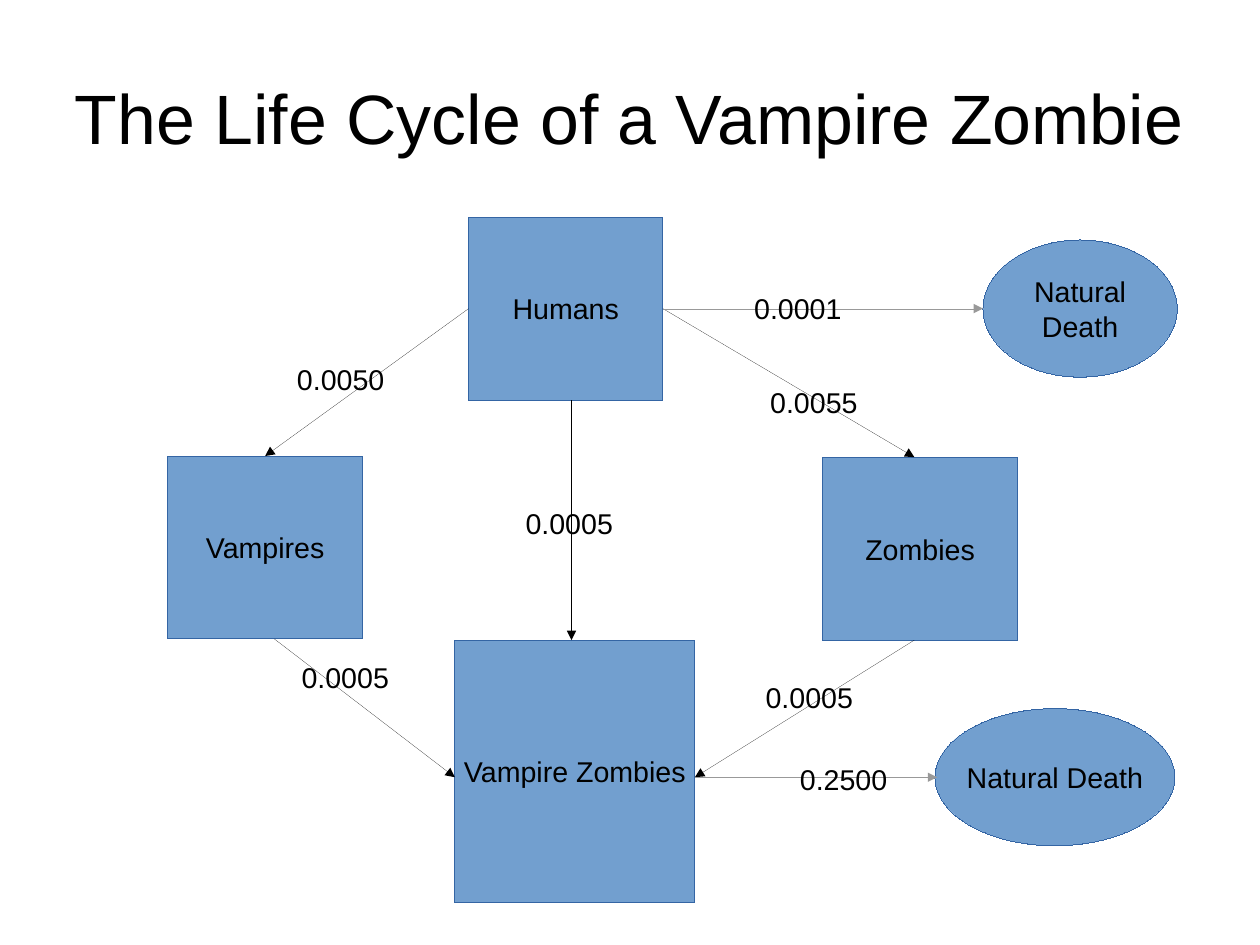
from lxml.etree import SubElement
from pptx import Presentation
from pptx.dml.color import RGBColor
from pptx.enum.shapes import MSO_CONNECTOR, MSO_SHAPE
from pptx.enum.text import MSO_ANCHOR, MSO_AUTO_SIZE, PP_ALIGN
from pptx.oxml.ns import qn
from pptx.util import Cm, Inches, Pt

# Content: lengths in inches
TITLE = ("The Life Cycle of a Vampire Zombie", (0.55, 0.33, 9.92, 1.38))

STATE, END = MSO_SHAPE.FLOWCHART_PROCESS, MSO_SHAPE.OVAL
SMALL, LARGE = (1.7, 1.6), (2.1, 2.3)
NODES = {  # name: (kind, lines, left and top, size)
    "humans": (STATE, ["Humans"], (4.1, 1.9), SMALL),
    "zombies": (STATE, ["Zombies"], (7.2, 4), SMALL),
    "vampires": (STATE, ["Vampires"], (1.47, 3.99), SMALL),
    "vampire zombies": (STATE, ["Vampire Zombies"], (3.98, 5.6), LARGE),
    "human death": (END, ["Natural", "Death"], (8.6, 2.1), (1.7, 1.2)),
    "vampire zombie death": (END, ["Natural Death"], (8.18, 6.2), (2.1, 1.2)),
}

TOP, LEFT, BOTTOM, RIGHT = range(4)
# An end is a point, or a node's name and side where the arrow is joined
ARROWS = [  # (from, to, colour, rate, left and top of the rate)
    ((5, 3.5), (5, 5.6), "arrow", "0.0005", (4.5, 4.38)),
    (("humans", LEFT), ("vampires", TOP), "arrow", "0.0050", (2.5, 3.12)),
    ((2.4, 5.59), (3.98, 6.8), "arrow", "0.0005", (2.54, 5.72)),
    (("humans", RIGHT), (8, 4), "arrow", "0.0055", (6.64, 3.32)),
    ((8, 5.6), (6.08, 6.8), "arrow", "0.0005", (6.6, 5.9)),
    (("humans", RIGHT), (8.6, 2.7), "death arrow", "0.0001", (6.5, 2.5)),
    ((6.08, 6.8), (8.2, 6.8), "death arrow", "0.2500", (6.9, 6.62)),
]
RATE_SIZE = (0.97, 0.38)

THEME = {
    "font": "Arial",
    "title size": Pt(44),
    "text size": Pt(18),
    "text": RGBColor(0x00, 0x00, 0x00),
    "fill": RGBColor(0x72, 0x9F, 0xCF),
    "outline": RGBColor(0x34, 0x65, 0xA4),
    "arrow": RGBColor(0x00, 0x00, 0x00),
    "death arrow": RGBColor(0x99, 0x99, 0x99),
}


def inches(*lengths):
    return [Inches(length) for length in lengths]


def write(frame, lines, size, align):
    for index, line in enumerate(lines):
        para = frame.add_paragraph() if index else frame.paragraphs[0]
        para.alignment = align
        span = para.add_run()
        span.text = line
        span.font.name = THEME["font"]
        span.font.size = size
        span.font.color.rgb = THEME["text"]


def draw_hairline(shape, colour):
    shape.line.color.rgb = THEME[colour]
    line = shape._element.spPr.find(qn("a:ln"))
    line.set("w", "0")  # line.width = 0 would fall back to the style's width
    return line


def add_title(page, text, area):
    frame = page.shapes.add_textbox(*inches(*area)).text_frame
    frame.word_wrap = True
    frame.vertical_anchor = MSO_ANCHOR.MIDDLE
    frame.margin_left = frame.margin_right = 0
    frame.margin_top = frame.margin_bottom = 0
    write(frame, [text], THEME["title size"], PP_ALIGN.CENTER)


def add_node(page, kind, lines, corner, size):
    node = page.shapes.add_shape(kind, *inches(*corner, *size))
    node.shadow.inherit = False
    node.fill.solid()
    node.fill.fore_color.rgb = THEME["fill"]
    draw_hairline(node, "outline")
    node.text_frame.word_wrap = False
    node.text_frame.vertical_anchor = MSO_ANCHOR.MIDDLE
    write(node.text_frame, lines, THEME["text size"], PP_ALIGN.CENTER)
    return node


def add_arrow(page, nodes, start, finish, colour):
    def joined(end):
        return end[0] in nodes

    def point(end):
        return (0, 0) if joined(end) else inches(*end)

    arrow = page.shapes.add_connector(
        MSO_CONNECTOR.STRAIGHT, *point(start), *point(finish))
    for end, connect in ((start, arrow.begin_connect),
                         (finish, arrow.end_connect)):
        if joined(end):
            name, side = end
            connect(nodes[name], side)
    line = draw_hairline(arrow, colour)
    SubElement(line, qn("a:tailEnd"), type="triangle")
    SubElement(arrow._element.spPr, qn("a:effectLst"))


def add_rate(page, rate, corner):
    frame = page.shapes.add_textbox(*inches(*corner, *RATE_SIZE)).text_frame
    frame.word_wrap = False
    frame.auto_size = MSO_AUTO_SIZE.SHAPE_TO_FIT_TEXT
    write(frame, [rate], THEME["text size"], PP_ALIGN.LEFT)


def main():
    deck = Presentation()
    deck.slide_width, deck.slide_height = Cm(28), Cm(21)
    page = deck.slides.add_slide(deck.slide_layouts[6])

    add_title(page, *TITLE)
    nodes = {name: add_node(page, *node) for name, node in NODES.items()}

    # Arrows first, so that every rate lies above the lines
    for start, finish, colour, _, _ in ARROWS:
        add_arrow(page, nodes, start, finish, colour)
    for *_, rate, corner in ARROWS:
        add_rate(page, rate, corner)

    deck.save("out.pptx")


if __name__ == "__main__":
    main()
